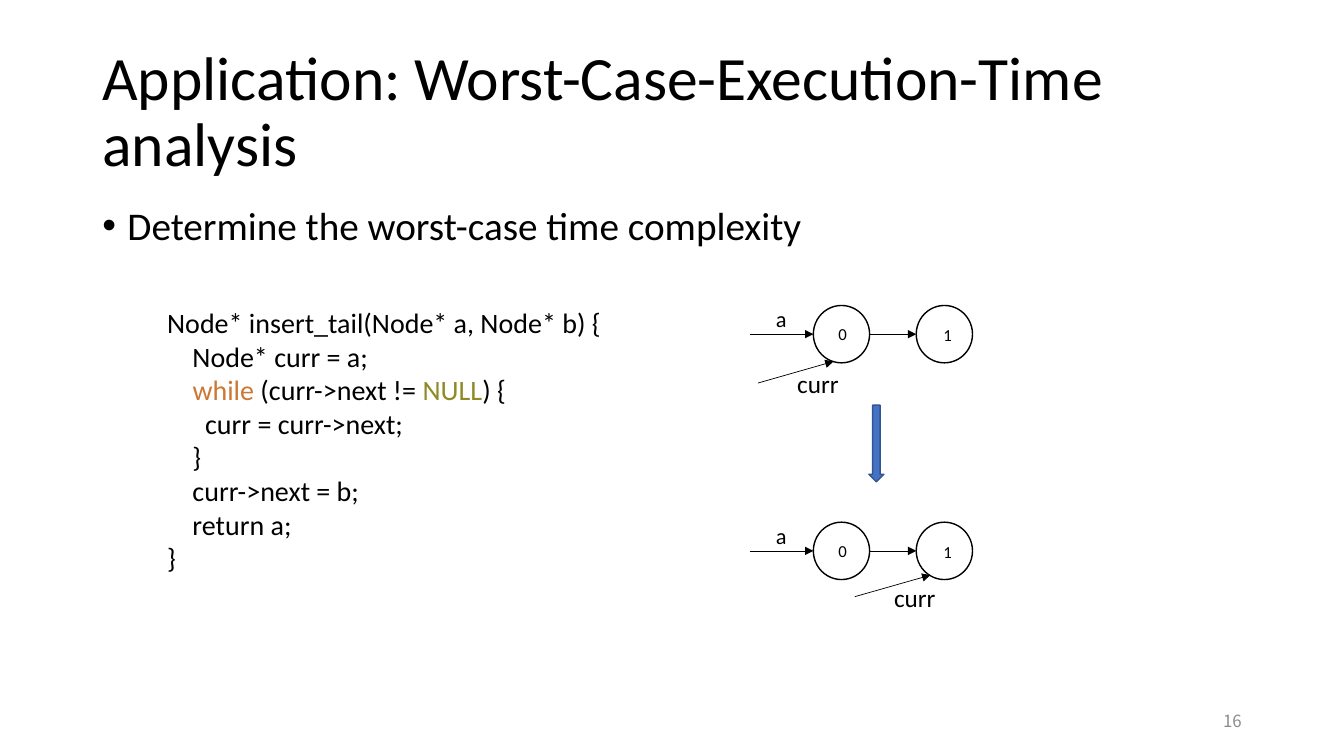
from lxml import etree
from pptx import Presentation
from pptx.dml.color import RGBColor
from pptx.enum import shapes, text
from pptx.oxml import ns
from pptx.util import Pt

BLACK, KEYWORD, CONSTANT, GREY = "000000", "CC7833", "8F8A25", "8C8C8C"
ARROW_FILL, ARROW_EDGE = "4472C4", "325491"

TITLE = "Application: Worst-Case-Execution-Time analysis"
POINT = "Determine the worst-case time complexity"
PAGE_NUMBER = "16"
CODE = [
    [("Node* insert_tail(Node* a, Node* b) {", BLACK)],
    [("    Node* curr = a;", BLACK)],
    [("    ", BLACK), ("while", KEYWORD), (" (curr->next != ", BLACK),
     ("NULL", CONSTANT), (") {", BLACK)],
    [("      curr = curr->next;", BLACK)],
    [("    }", BLACK)],
    [("    curr->next = b;", BLACK)],
    [("    return a;", BLACK)],
    [("}", BLACK)],
]
# value, left edge of the circle, offset of the value inside it
NODES = [("0", 581, (10.8, 9.4)), ("1", 654.5, (12.2, 10.1))]
NODE_W, NODE_H = 40.2, 41
HEAD_START = 535.7
# top of the circles, tail of the "curr" arrow
LIST_STATES = [(218.2, (541.4, 273.6)), (373, (610.6, 426.2))]
CURR_REACH = (54, -15.4)


def color(hex_code):
    return RGBColor.from_string(hex_code)


def add_text(box, lines, size, font="Calibri", anchor=text.MSO_ANCHOR.TOP,
             align=text.PP_ALIGN.LEFT, spacing=1.0, wrap=True, bullet=None):
    """Add a text box; each line is a list of (words, colour) runs."""
    frame = slide.shapes.add_textbox(*map(Pt, box)).text_frame
    frame.word_wrap = wrap
    frame.vertical_anchor = anchor
    for number, runs in enumerate(lines):
        paragraph = frame.add_paragraph() if number else frame.paragraphs[0]
        paragraph.alignment = align
        paragraph.line_spacing = spacing
        if bullet:
            props = paragraph._p.get_or_add_pPr()
            props.set("marL", str(Pt(18)))
            props.set("indent", str(-Pt(18)))
            etree.SubElement(props, ns.qn("a:buFont")).set("typeface", "Arial")
            etree.SubElement(props, ns.qn("a:buChar")).set("char", bullet)
        for words, hex_code in runs:
            run = paragraph.add_run()
            run.text = words
            run.font.size = Pt(size)
            run.font.name = font
            run.font.color.rgb = color(hex_code)


def add_label(words, left, top, width, height, size, wrap=True):
    add_text((left, top, width, height), [[(words, BLACK)]], size, wrap=wrap)


def add_outline(kind, box, edge, fill=None):
    """Add a preset shape, hollow unless a fill is given."""
    outline = slide.shapes.add_shape(kind, *map(Pt, box))
    outline.shadow.inherit = False
    if fill:
        outline.fill.solid()
        outline.fill.fore_color.rgb = color(fill)
    else:
        outline.fill.background()
    outline.line.color.rgb = color(edge)
    outline.line.width = Pt(1)


def add_pointer(x1, y1, x2, y2):
    pointer = slide.shapes.add_connector(
        shapes.MSO_CONNECTOR.STRAIGHT, *map(Pt, (x1, y1, x2, y2)))
    pointer.line.color.rgb = color(BLACK)
    pointer.line.width = Pt(0.5)
    etree.SubElement(pointer.line._get_or_add_ln(), ns.qn("a:tailEnd")).set("type", "triangle")
    etree.SubElement(pointer._element.spPr, ns.qn("a:effectLst"))


def add_linked_list(top, curr_tail):
    middle = top + NODE_H / 2
    pointer_start = HEAD_START
    for value, left, (dx, dy) in NODES:
        add_outline(shapes.MSO_SHAPE.OVAL, (left, top, NODE_W, NODE_H), BLACK)
        add_label(value, left + dx, top + dy, 34.6, 21.6, 12)
        add_pointer(pointer_start, middle, left, middle)
        pointer_start = left + NODE_W
    add_label("a", 547.2, top - 3.6, 28, 26.6, 16)

    x, y = curr_tail
    add_pointer(x, y, x + CURR_REACH[0], y + CURR_REACH[1])
    add_label("curr", x + 20.9, y - 13.7, 46, 28.8, 18, wrap=False)


prs = Presentation()
prs.slide_width, prs.slide_height = Pt(960), Pt(540)
slide = prs.slides.add_slide(prs.slide_layouts[6])

add_text((66, 28.8, 828, 104.4), [[(TITLE, BLACK)]], 44,
         anchor=text.MSO_ANCHOR.MIDDLE, spacing=0.9)
add_text((66, 144, 828, 342.7), [[(POINT, BLACK)]], 28, spacing=0.9, bullet="•")
add_text((678, 500.4, 216, 28.8), [[(PAGE_NUMBER, GREY)]], 12, "Noto Sans CJK SC",
         anchor=text.MSO_ANCHOR.MIDDLE, align=text.PP_ALIGN.RIGHT)
add_text((112.3, 214.6, 394.6, 200.9), CODE, 20)

for circles_top, curr_start in LIST_STATES:
    add_linked_list(circles_top, curr_start)
add_outline(shapes.MSO_SHAPE.DOWN_ARROW, (620.6, 289.4, 10.8, 54.8), ARROW_EDGE, ARROW_FILL)

prs.save("out.pptx")
